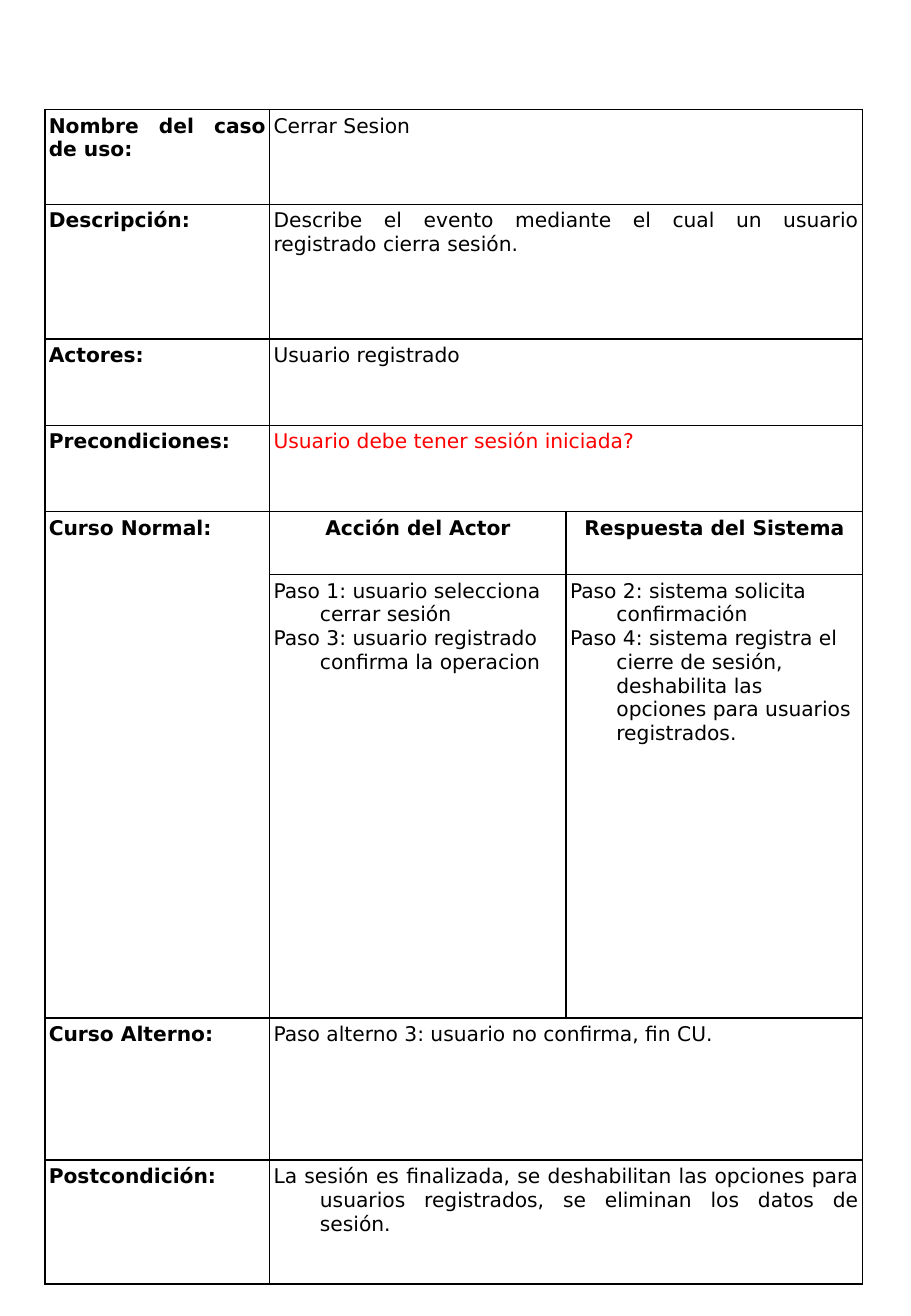
from lxml import etree
from pptx import Presentation
from pptx.dml.color import RGBColor
from pptx.enum.text import MSO_ANCHOR, PP_ALIGN
from pptx.oxml.ns import qn
from pptx.util import Cm, Pt

BLACK = RGBColor(0x00, 0x00, 0x00)
RED = RGBColor(0xFF, 0x00, 0x00)
FONT = "DejaVu Sans"
LEFT, CENTER, JUSTIFY = PP_ALIGN.LEFT, PP_ALIGN.CENTER, PP_ALIGN.JUSTIFY
TOP = MSO_ANCHOR.TOP
BLANK_LAYOUT = 6

# Content: one tuple of cell texts per row; None is covered by a merged cell
ROWS = [
    ("Nombre del caso de uso:", "Cerrar Sesion", None),
    ("Descripción:",
     "Describe el evento mediante el cual un usuario registrado cierra sesión.", None),
    ("Actores:", "Usuario registrado", None),
    ("Precondiciones:", "Usuario debe tener sesión iniciada?", None),
    ("Curso Normal:", "Acción del Actor", "Respuesta del Sistema"),
    (None,
     "Paso 1: usuario selecciona cerrar sesión\n"
     "Paso 3: usuario registrado confirma la operacion",
     "Paso 2: sistema solicita confirmación\n"
     "Paso 4: sistema registra el cierre de sesión, deshabilita las opciones "
     "para usuarios registrados."),
    ("Curso Alterno:", "Paso alterno 3: usuario no confirma, fin CU.", None),
    ("Postcondición:",
     "La sesión es finalizada, se deshabilitan las opciones para usuarios "
     "registrados, se eliminan los datos de sesión.", None),
]
PRECONDITION_ROW, HEADING_ROW, STEPS_ROW = 3, 4, 5

# Sizes in centimetres
COLUMN_WIDTHS = [4.7, 6.2, 6.2]
ROW_HEIGHTS = [1.98, 2.82, 1.8, 1.8, 1.32, 9.27, 2.97, 2.59]
TABLE_LEFT, TABLE_TOP = 0.94, 2.29
SIDE_INSET, TOP_INSET = 0.08, 0.1
HANGING_INDENT = 0.97


def add_borders(cell):
    properties = cell._tc.get_or_add_tcPr()
    for side in ("lnL", "lnR", "lnT", "lnB"):
        line = etree.SubElement(properties, qn(f"a:{side}"), w=str(Pt(1)))
        fill = etree.SubElement(line, qn("a:solidFill"))
        etree.SubElement(fill, qn("a:srgbClr"), val=str(BLACK))


def write_cell(cell, text, row, column):
    cell.text_frame.text = text
    bold = column == 0 or row == HEADING_ROW
    if column and row == HEADING_ROW:
        alignment = CENTER
    elif row == STEPS_ROW:
        alignment = LEFT
    else:
        alignment = JUSTIFY
    for para in cell.text_frame.paragraphs:
        para.alignment = alignment
        if row >= HEADING_ROW:
            properties = para._p.get_or_add_pPr()
            properties.set("marL", str(Cm(HANGING_INDENT)))
            properties.set("indent", str(-Cm(HANGING_INDENT)))
        for span in para.runs:
            span.font.name = FONT
            span.font.size = Pt(12)
            span.font.bold = bold
            is_question = column and row == PRECONDITION_ROW
            span.font.color.rgb = RED if is_question else BLACK


def main():
    deck = Presentation()
    deck.slide_width, deck.slide_height = Cm(19.05), Cm(27.51)
    page = deck.slides.add_slide(deck.slide_layouts[BLANK_LAYOUT])

    # Table grid
    table = page.shapes.add_table(
        len(ROWS), len(COLUMN_WIDTHS), Cm(TABLE_LEFT), Cm(TABLE_TOP),
        Cm(sum(COLUMN_WIDTHS)), Cm(sum(ROW_HEIGHTS))).table
    table.first_row = table.horz_banding = False
    for column, width in zip(table.columns, COLUMN_WIDTHS):
        column.width = Cm(width)
    for row, height in zip(table.rows, ROW_HEIGHTS):
        row.height = Cm(height)

    # Merged cells
    for row, texts in enumerate(ROWS):
        if texts[2] is None:
            table.cell(row, 1).merge(table.cell(row, 2))
    table.cell(HEADING_ROW, 0).merge(table.cell(STEPS_ROW, 0))

    # Cell format and text
    for row, texts in enumerate(ROWS):
        for column, text in enumerate(texts):
            cell = table.cell(row, column)
            add_borders(cell)
            cell.fill.background()
            cell.vertical_anchor = TOP
            cell.margin_left = cell.margin_right = Cm(SIDE_INSET)
            cell.margin_top = cell.margin_bottom = Cm(TOP_INSET)
            if text is not None:
                write_cell(cell, text, row, column)

    deck.save("out.pptx")


if __name__ == "__main__":
    main()
